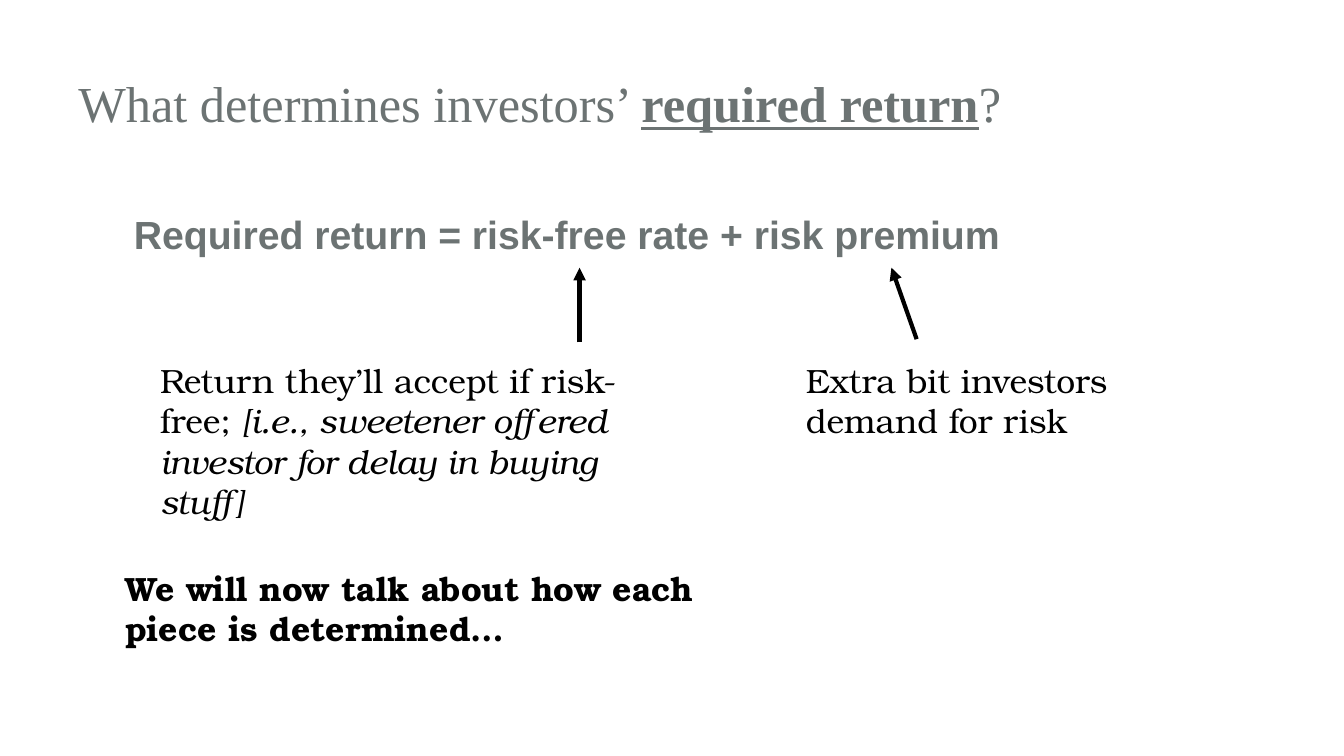
from dataclasses import dataclass

from lxml.etree import SubElement
from pptx import Presentation
from pptx.dml.color import RGBColor
from pptx.enum.shapes import MSO_CONNECTOR
from pptx.enum.text import MSO_ANCHOR, PP_ALIGN
from pptx.oxml.ns import qn
from pptx.util import Pt

PX = 9525  # EMU in one px, 96 px to the inch
SLIDE_SIZE = (1280, 720)


@dataclass(frozen=True)
class Theme:
    grey = RGBColor(0x6C, 0x73, 0x73)
    black = RGBColor(0, 0, 0)
    arrow_width = Pt(3)
    title = {"name": "Times New Roman", "size": Pt(36), "bold": False}
    formula = {"name": "Arial", "size": Pt(28), "bold": True}
    note = {"name": "TeX Gyre Bonum", "size": Pt(24), "bold": False}


THEME = Theme()

# A run is its text and the format that differs from the style of its box.
TITLE_BOX = (65, 46, 1013, 103)
TITLE = [
    ("What determines investors’ ", {}),
    ("required return", {"bold": True, "underline": True}),
    ("?", {}),
]

# Each text: box (left, top, width, height), style, colour, runs
TEXTS = [
    ((118, 196, 1075, 53), THEME.formula, THEME.grey,
     [("Required return = risk-free rate + risk premium", {})]),
    ((143, 338, 507, 126), THEME.note, THEME.black,
     [("Return they’ll accept if risk-free; ", {}),
      ("[i.e., sweetener offered investor for delay in buying stuff]", {"italic": True})]),
    ((758, 338, 354, 87), THEME.note, THEME.black,
     [("Extra bit investors demand for risk", {})]),
    ((110, 536, 614, 87), THEME.note, THEME.black,
     [("We will now talk about how each piece is determined…", {"bold": True})]),
]

# Each arrow: start x, start y, tip x, tip y
ARROWS = [
    (552, 326, 552, 255),
    (873, 323, 849, 255),
]


def emu(lengths):
    return [length * PX for length in lengths]


def write_runs(text_frame, runs, style, colour):
    text_frame.word_wrap = True
    paragraph = text_frame.paragraphs[0]
    paragraph.alignment = PP_ALIGN.LEFT
    for text, changes in runs:
        run = paragraph.add_run()
        run.text = text
        for attribute, value in {**style, **changes}.items():
            setattr(run.font, attribute, value)
        run.font.color.rgb = colour


def add_title(slide):
    title = slide.shapes.title
    title.left, title.top, title.width, title.height = emu(TITLE_BOX)
    title.text_frame.vertical_anchor = MSO_ANCHOR.MIDDLE
    write_runs(title.text_frame, TITLE, THEME.title, THEME.grey)


def add_arrow(slide, ends):
    arrow = slide.shapes.add_connector(MSO_CONNECTOR.STRAIGHT, *emu(ends))
    arrow.line.color.rgb = THEME.black
    arrow.line.width = THEME.arrow_width
    SubElement(arrow.line._get_or_add_ln(), qn("a:tailEnd"), type="triangle")
    SubElement(arrow._element.spPr, qn("a:effectLst"))


def main():
    presentation = Presentation()
    presentation.slide_width, presentation.slide_height = emu(SLIDE_SIZE)
    slide = presentation.slides.add_slide(presentation.slide_layouts.get_by_name("Title Only"))
    add_title(slide)
    for box, style, colour, runs in TEXTS:
        text_box = slide.shapes.add_textbox(*emu(box))
        write_runs(text_box.text_frame, runs, style, colour)
    for ends in ARROWS:
        add_arrow(slide, ends)
    presentation.save("out.pptx")


if __name__ == "__main__":
    main()
